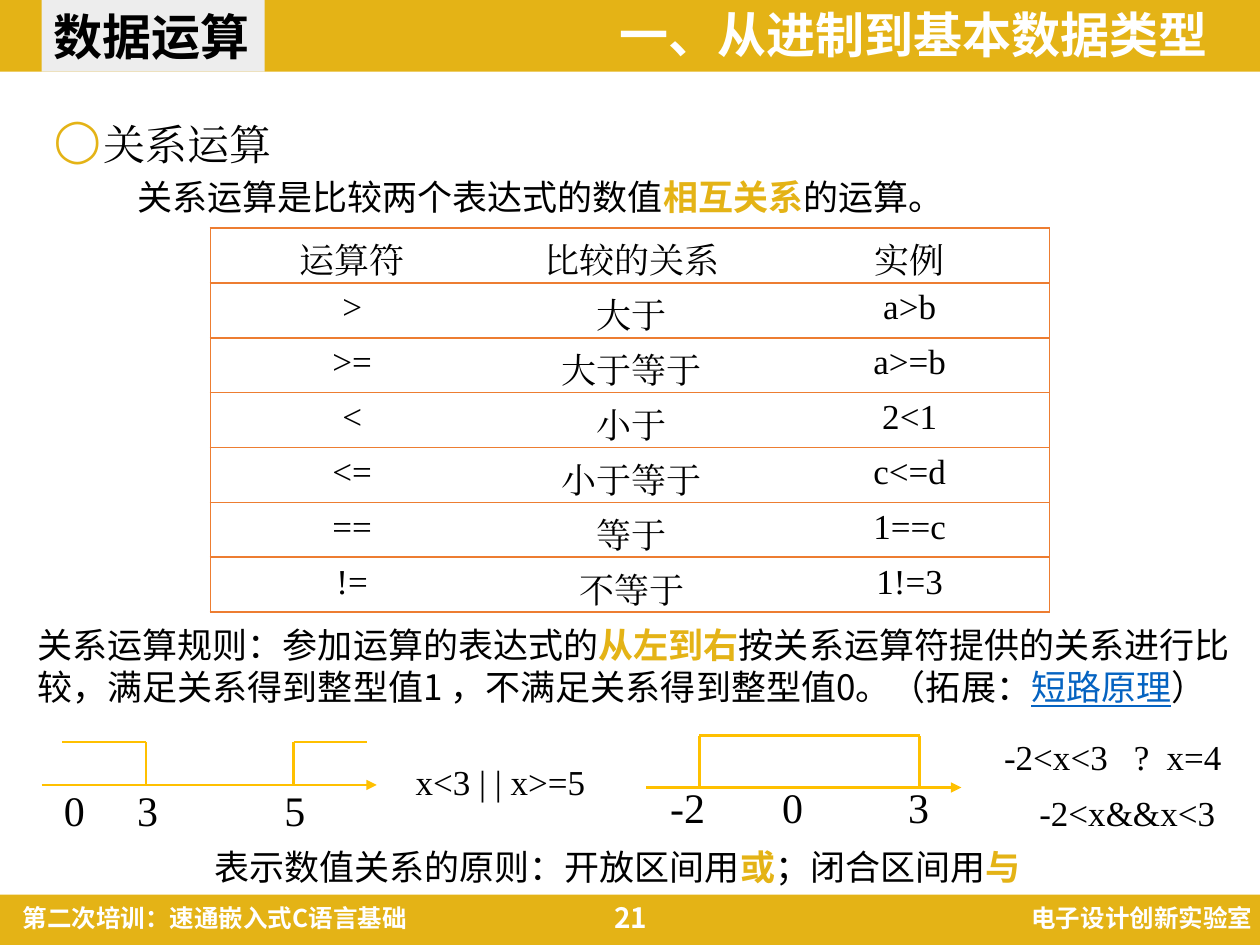
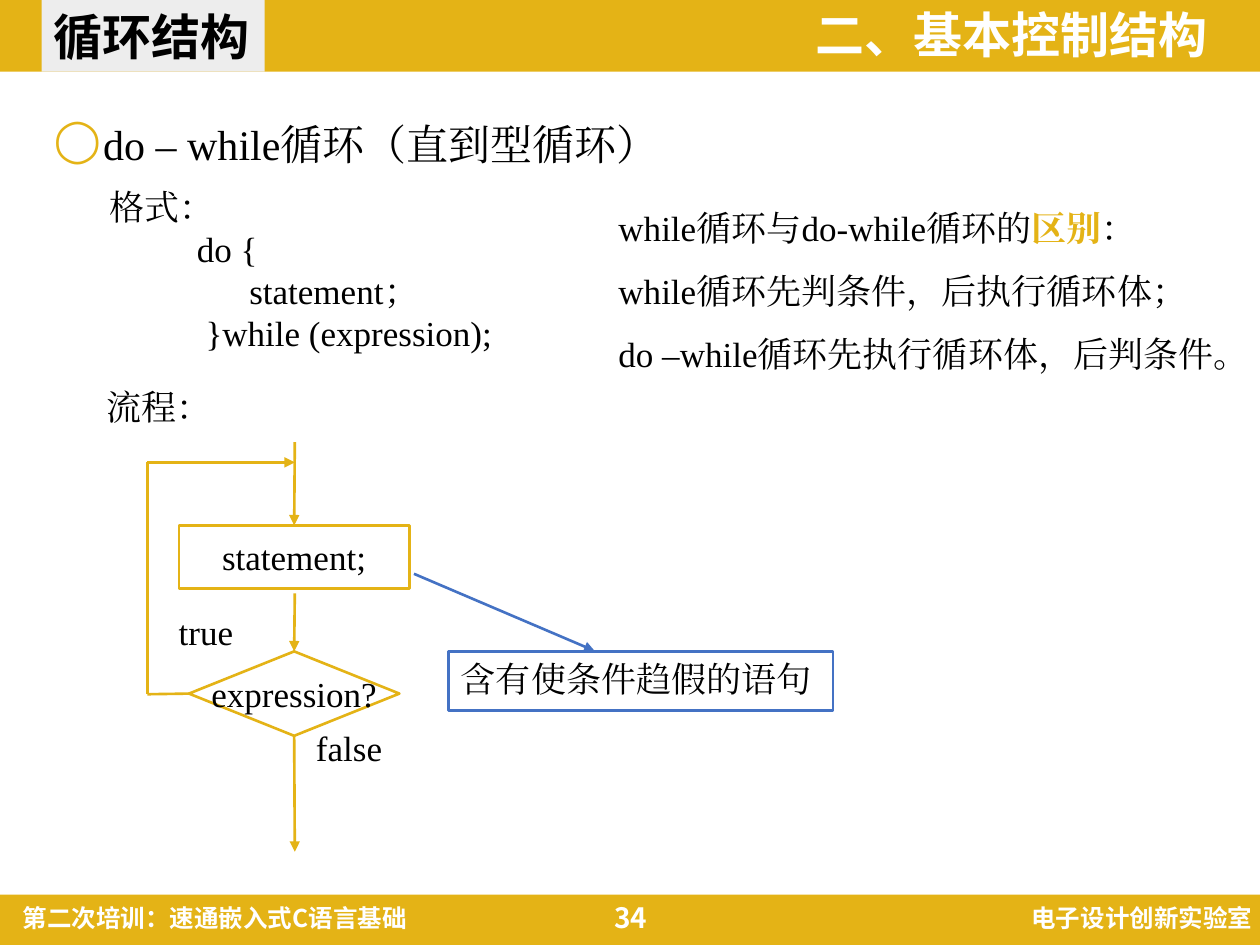
from dataclasses import dataclass

from pptx import Presentation
from pptx import util as u
from pptx.dml.color import RGBColor
from pptx.enum import shapes, text
from pptx.oxml import parse_xml
from pptx.oxml.ns import nsdecls, qn


@dataclass(frozen=True)
class Theme:
    gold: str = "E4B316"
    amber: str = "FFC000"
    orange: str = "ED7D31"
    blue: str = "4472C4"
    link: str = "0563C1"
    gray: str = "EDEDED"
    black: str = "000000"
    white: str = "FFFFFF"
    sans: str = "Noto Sans CJK SC"
    serif: str = "Times New Roman"
    title: int = 28
    heading: int = 24
    body: int = 20
    number: int = 16
    footer: int = 14
    stroke: float = 1.5


THEME = Theme()
ALIGN = text.PP_ALIGN
ANCHOR = text.MSO_ANCHOR
SHAPE = shapes.MSO_SHAPE


def inches(values):
    return [u.Inches(value) for value in values]


def drawing(tag, content="", **attributes):
    settings = " ".join(f'{name}="{value}"' for name, value in attributes.items())
    return parse_xml(f'<a:{tag} {nsdecls("a")} {settings}>{content}</a:{tag}>')


def color_xml(color):
    return f'<a:srgbClr val="{color}"/>'


def strong(words):
    return words, {"color": THEME.gold, "bold": True}


def add_span(para, words, font=THEME.serif, size=THEME.body, color=THEME.black,
             bold=False, underline=False):
    span = para.add_run()
    span.text = words
    span.font.name = font
    span.font.size = u.Pt(size)
    span.font.bold = bold
    span.font.underline = underline
    span.font.color.rgb = RGBColor.from_string(color)
    properties = span.font._element
    properties.find(qn("a:latin")).addnext(drawing("ea", typeface=font))


def write(frame, content, align=ALIGN.LEFT, anchor=ANCHOR.TOP, wrap=True,
          leading=1.2, tabs=(), bullet=None, insets=(0.1, 0.05, 0.1, 0.05), **font):
    """content: a string, or a list of paragraphs made of strings and (words, format) pairs"""
    frame.word_wrap = wrap
    frame.auto_size = text.MSO_AUTO_SIZE.NONE
    frame.vertical_anchor = anchor
    (frame.margin_left, frame.margin_top,
     frame.margin_right, frame.margin_bottom) = inches(insets)
    paragraphs = [[content]] if isinstance(content, str) else content
    for index, pieces in enumerate(paragraphs):
        para = frame.add_paragraph() if index else frame.paragraphs[0]
        properties = para._p.get_or_add_pPr()
        if bullet:
            hang = u.Inches(0.39)
            properties.set("marL", str(hang))
            properties.set("indent", str(-hang))
            properties.append(drawing("buClr", color_xml(THEME.gold)))
            properties.append(drawing("buChar", char=bullet))
        if tabs:
            stops = "".join(f'<a:tab pos="{stop}" algn="l"/>' for stop in inches(tabs))
            properties.append(drawing("tabLst", stops))
        para.alignment = align
        para.space_before = u.Pt(0)
        if leading:
            para.line_spacing = u.Pt(leading * font.get("size", THEME.body))
        for piece in pieces:
            words, changes = (piece, {}) if isinstance(piece, str) else piece
            add_span(para, words, **{**font, **changes})


def add_text(page, content, at, **style):
    box = page.shapes.add_textbox(*inches(at))
    write(box.text_frame, content, **style)
    return box


def add_box(page, kind, at, fill=None, line=None, content=None, **style):
    box = page.shapes.add_shape(kind, *inches(at))
    box.shadow.inherit = False
    if fill:
        box.fill.solid()
        box.fill.fore_color.rgb = RGBColor.from_string(fill)
    else:
        box.fill.background()
    if line:
        box.line.color.rgb = RGBColor.from_string(line)
        box.line.width = u.Pt(THEME.stroke)
    else:
        box.line.fill.background()
    if content:
        write(box.text_frame, content, **style)
    return box


def add_line(page, start, end, color=THEME.gold, arrow=False):
    line = page.shapes.add_connector(
        shapes.MSO_CONNECTOR.STRAIGHT, *inches((*start, *end)))
    line.line.color.rgb = RGBColor.from_string(color)
    line.line.width = u.Pt(THEME.stroke)
    if arrow:
        line.line._get_or_add_ln().append(drawing("tailEnd", type="triangle"))
    line._element.spPr.append(drawing("effectLst"))
    return line


def add_path(page, points, color=THEME.gold, arrow=False):
    last = len(points) - 2
    return [add_line(page, start, end, color, arrow and index == last)
            for index, (start, end) in enumerate(zip(points, points[1:]))]


def add_number_line(page, start, end, y, brackets, labels, label_top):
    add_line(page, (start, y), (end, y), THEME.amber, arrow=True)
    for points in brackets:
        add_path(page, points, THEME.amber)
    for label, left, width in labels:
        add_text(page, label, (left, label_top, width, 0.51),
                 wrap=False, size=THEME.heading)


def border_cell(cell, sides):
    properties = cell._tc.get_or_add_tcPr()
    for index, side in enumerate("LRTB"):
        paint = (f"<a:solidFill>{color_xml(THEME.orange)}</a:solidFill>"
                 if side in sides else "<a:noFill/>")
        properties.insert(index, drawing("ln" + side, paint, w=u.Pt(1)))


def add_operator_table(page, rows, at, widths):
    table = page.shapes.add_table(len(rows), len(widths), *inches(at)).table
    table.first_row = table.horz_banding = False
    for column, width in zip(table.columns, widths):
        column.width = u.Inches(width)
    for row, values in zip(table.rows, rows):
        row.height = u.Inches(at[3] / len(rows))
        for index, (cell, value) in enumerate(zip(row.cells, values)):
            top = 0.02 if value.isascii() else 0.09
            write(cell.text_frame, value, align=ALIGN.CENTER)
            cell.vertical_anchor = ANCHOR.TOP
            cell.margin_top, cell.margin_bottom = inches((top, 0))
            cell.fill.solid()
            cell.fill.fore_color.rgb = RGBColor.from_string(THEME.white)
            border_cell(cell, "TB" + {0: "L", len(widths) - 1: "R"}.get(index, ""))


def add_page(deck, chapter, section, heading, number):
    page = deck.slides.add_slide(deck.slide_layouts[5])
    add_box(page, SHAPE.RECTANGLE, (0, 7.1, 10, 0.4), THEME.gold)
    add_box(page, SHAPE.RECTANGLE, (0, 0, 10, 0.57), THEME.gold)
    banner = {"font": THEME.sans, "bold": True, "anchor": ANCHOR.MIDDLE, "leading": None}
    footers = [
        ("第二次培训：速通嵌入式C语言基础", 0.08, 3.99, ALIGN.LEFT, THEME.footer),
        (number, 4.39, 1.23, ALIGN.CENTER, THEME.number),
        ("电子设计创新实验室", 6.9, 3.14, ALIGN.RIGHT, THEME.footer),
    ]
    for words, left, width, align, size in footers:
        add_text(page, words, (left, 7.08, width, 0.4), align=align, size=size,
                 color=THEME.white, **banner)
    title = page.shapes.title
    title.left, title.top, title.width, title.height = inches((4.39, 0.07, 5.29, 0.46))
    write(title.text_frame, chapter, align=ALIGN.RIGHT, size=THEME.title,
          color=THEME.white, **banner)
    title.text_frame.paragraphs[0].line_spacing = 0.9
    page.shapes._spTree.append(title._element)
    add_box(page, SHAPE.RECTANGLE, (0.33, 0, 1.77, 0.57), THEME.gray, content=section,
            wrap=False, size=THEME.title, **banner)
    add_text(page, heading, (0.33, 0.85, 9.35, 0.52), size=THEME.heading,
             leading=32 / THEME.heading, bullet="◯")
    return page


def build_relations(deck):
    page = add_page(deck, "一、从进制到基本数据类型", "数据运算", "关系运算", "21")
    add_text(page, [["关系运算是比较两个表达式的数值", strong("相互关系"), "的运算。"]],
             (0.99, 1.34, 6.79, 0.44), wrap=False, font=THEME.sans)
    rows = [
        ("运算符", "比较的关系", "实例"),
        (">", "大于", "a>b"),
        (">=", "大于等于", "a>=b"),
        ("<", "小于", "2<1"),
        ("<=", "小于等于", "c<=d"),
        ("==", "等于", "1==c"),
        ("!=", "不等于", "1!=3"),
    ]
    add_operator_table(page, rows, (1.67, 1.81, 6.66, 3.05), (2.25, 2.19, 2.22))
    add_text(page, [["关系运算规则：参加运算的表达式的", strong("从左到右"),
                     "按关系运算符提供的关系进行比较，满足关系得到整型值1 ，"
                     "不满足关系得到整型值0。（拓展：",
                     ("短路原理", {"color": THEME.link, "underline": True}), "）"]],
             (0.2, 4.9, 9.84, 0.78), font=THEME.sans)
    add_number_line(
        page, 0.33, 2.99, 6.23,
        [[(2.33, 6.23), (2.33, 5.89), (2.91, 5.89)],
         [(1.16, 6.23), (1.16, 5.89), (0.49, 5.89)]],
        [("0", 0.41, 0.37), ("3", 0.99, 0.37), ("5", 2.16, 0.37)], 6.18)
    add_number_line(
        page, 5.13, 7.63, 6.25,
        [[(5.55, 6.25), (5.55, 5.84), (7.3, 5.84), (7.3, 6.25)]],
        [("-2", 5.22, 0.48), ("0", 6.11, 0.37), ("3", 7.11, 0.37)], 6.15)
    add_text(page, "x<3 | | x>=5", (3.2, 5.99, 1.56, 0.44), wrap=False)
    add_text(page, "-2<x<3\t?\tx=4", (7.87, 5.79, 2.05, 0.44), tabs=(1.03, 1.29))
    add_text(page, "-2<x&&x<3", (8.15, 6.23, 1.6, 0.44), wrap=False)
    add_text(page, [["表示数值关系的原则：开放区间用", strong("或"),
                     "；闭合区间用", strong("与")]],
             (1.6, 6.66, 7.05, 0.44), font=THEME.sans)


def build_loop(deck):
    page = add_page(deck, "二、基本控制结构", "循环结构", "do – while循环（直到型循环）", "34")
    code = ["格式：", " " * 10 + "do {", " " * 16 + "statement；",
            " " * 11 + "}while (expression);"]
    add_text(page, [[line] for line in code], (0.77, 1.42, 3.33, 1.45), wrap=False)
    add_text(page, "流程：", (0.75, 3.01, 1.04, 0.44), wrap=False)
    node = {"line": THEME.gold, "align": ALIGN.CENTER, "anchor": ANCHOR.MIDDLE,
            "wrap": False}
    statement = add_box(page, SHAPE.FLOWCHART_PROCESS, (1.42, 4.17, 1.83, 0.5),
                        content="statement;", **node)
    condition = add_box(page, SHAPE.FLOWCHART_DECISION, (1.5, 5.17, 1.67, 0.67),
                        content="expression?", **node)
    middle, loop_left, loop_top, loop_bottom = 2.34, 1.17, 3.67, 5.51
    entry = add_line(page, (middle, 3.51), (middle, 4.17), arrow=True)
    entry.end_connect(statement, 0)
    check = add_line(page, (middle, 4.71), (middle, 5.17), arrow=True)
    check.end_connect(condition, 0)
    leave = add_line(page, (middle, 5.84), (middle, 6.76), arrow=True)
    leave.begin_connect(condition, 2)
    repeat = add_path(page, [(1.5, loop_bottom), (loop_left, loop_bottom),
                             (loop_left, loop_top), (middle, loop_top)], arrow=True)
    repeat[0].begin_connect(condition, 1)
    add_text(page, "true", (1.32, 4.8, 0.63, 0.44), wrap=False)
    add_text(page, "false", (2.41, 5.72, 0.73, 0.44), wrap=False)
    callout = add_box(page, SHAPE.LINE_CALLOUT_1, (3.56, 5.17, 3.05, 0.47),
                      line=THEME.blue, content="含有使条件趋假的语句")
    for index, value in enumerate((-0.01, 0.38, -1.31, -0.09)):
        callout.adjustments[index] = value
    callout.line._get_or_add_ln().append(drawing("headEnd", type="triangle"))
    add_text(page, [["while循环与do-while循环的", strong("区别"), "："],
                    ["while循环先判条件，后执行循环体；"],
                    ["do –while循环先执行循环体，后判条件。"]],
             (4.81, 1.42, 5.15, 1.55), leading=1.8)


def main():
    deck = Presentation()
    deck.slide_width, deck.slide_height = inches((10, 7.5))
    build_relations(deck)
    build_loop(deck)
    deck.save("out.pptx")


if __name__ == "__main__":
    main()
